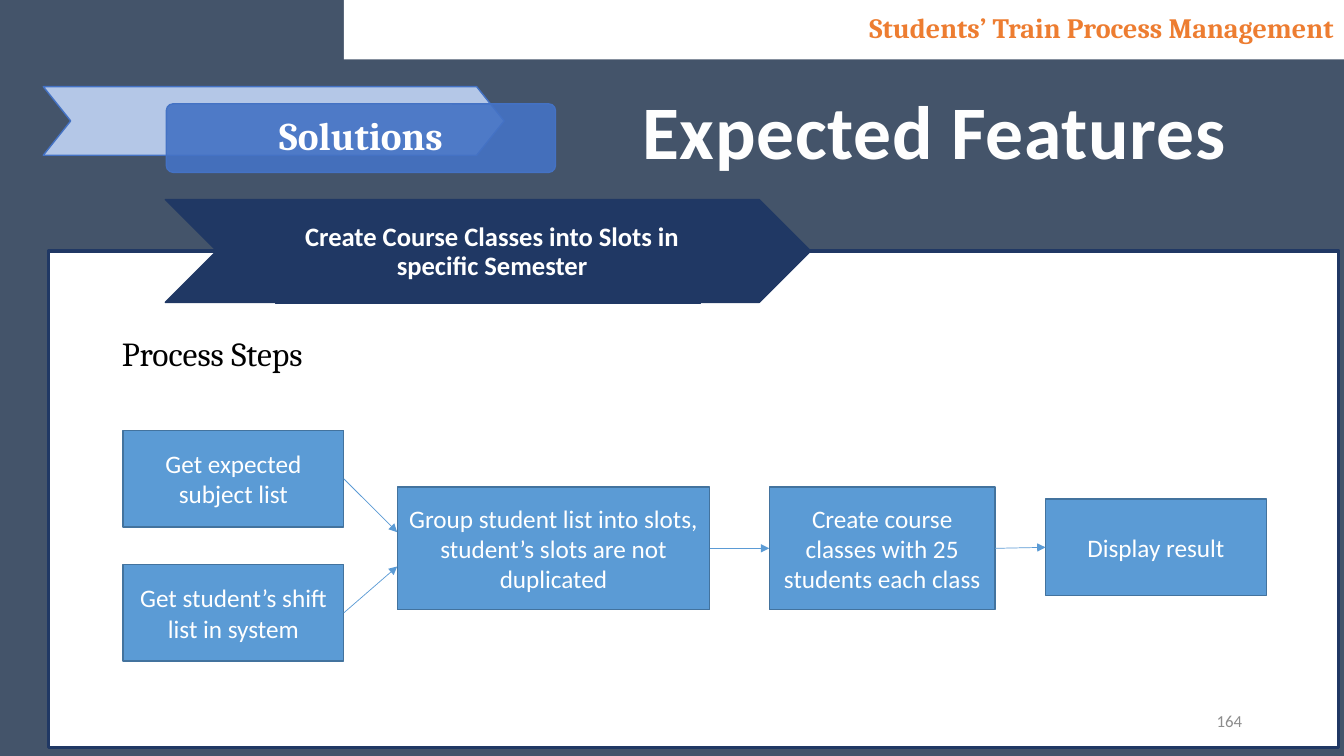
from dataclasses import dataclass
from typing import Optional

from lxml.etree import SubElement
from pptx import Presentation
from pptx.dml.color import RGBColor
from pptx.enum.shapes import MSO_CONNECTOR, MSO_SHAPE
from pptx.enum.text import MSO_ANCHOR, MSO_AUTO_SIZE, PP_ALIGN
from pptx.oxml import parse_xml
from pptx.oxml.ns import nsdecls, qn
from pptx.util import Pt

EMU_PER_PX = 9144  # 100 px to the inch
WHITE, NAVY, ROYAL, SKY, ORANGE = "FFFFFF", "203864", "4472C4", "5B9BD5", "ED7D31"
LEFT, CENTER, RIGHT = PP_ALIGN.LEFT, PP_ALIGN.CENTER, PP_ALIGN.RIGHT
RIGHT_SIDE, LEFT_SIDE = 3, 1


@dataclass
class Box:
    left: int
    top: int
    width: int
    height: int


@dataclass
class TextStyle:
    size: int
    color: str = WHITE
    font: str = "Calibri"
    bold: bool = False
    align: PP_ALIGN = CENTER
    anchor: MSO_ANCHOR = MSO_ANCHOR.MIDDLE
    spacing: float = 1.0
    insets: tuple[int, int, int, int] = (10, 5, 10, 5)
    wrap: bool = True


@dataclass
class Panel:
    box: Box
    fill: str
    line: str
    line_width: float = 1
    kind: MSO_SHAPE = MSO_SHAPE.RECTANGLE
    adjustment: Optional[float] = None


@dataclass
class Arrow:
    source: str
    target: str
    end: Optional[tuple[int, int]] = None  # None joins the target's left side


def px(length: int) -> int:
    return length * EMU_PER_PX


def rgb(value: str) -> RGBColor:
    return RGBColor.from_string(value)


def place(shape, box: Box) -> None:
    shape.left, shape.top = px(box.left), px(box.top)
    shape.width, shape.height = px(box.width), px(box.height)


def write(shape, text: str, style: TextStyle):
    frame = shape.text_frame
    frame.text = text
    frame.word_wrap = style.wrap
    frame.auto_size = MSO_AUTO_SIZE.NONE if style.wrap else MSO_AUTO_SIZE.SHAPE_TO_FIT_TEXT
    frame.vertical_anchor = style.anchor
    frame.margin_left, frame.margin_top, frame.margin_right, frame.margin_bottom = map(px, style.insets)
    paragraph = frame.paragraphs[0]
    paragraph.alignment = style.align
    paragraph.line_spacing = style.spacing
    font = paragraph.runs[0].font
    font.size, font.name, font.bold = Pt(style.size), style.font, style.bold
    font.color.rgb = rgb(style.color)
    return paragraph.runs[0]


def outline_text(run, color: str, width: float) -> None:
    run.font._element.insert(0, parse_xml(
        f'<a:ln {nsdecls("a")} w="{Pt(width)}"><a:solidFill>'
        f'<a:srgbClr val="{color}"/></a:solidFill></a:ln>'))


def shadow_text(run, color: str) -> None:
    run.font._element.find(qn("a:solidFill")).addnext(parse_xml(
        f'<a:effectLst {nsdecls("a")}><a:outerShdw blurRad="12700" dist="38100" dir="2700000" '
        f'algn="tl"><a:srgbClr val="{color}"/></a:outerShdw></a:effectLst>'))


def add_panel(slide, panel: Panel):
    shape = slide.shapes.add_shape(panel.kind, 0, 0, 0, 0)
    place(shape, panel.box)
    shape.shadow.inherit = False
    if panel.adjustment is not None:
        shape.adjustments[0] = panel.adjustment
    shape.fill.solid()
    shape.fill.fore_color.rgb = rgb(panel.fill)
    shape.line.color.rgb = rgb(panel.line)
    shape.line.width = Pt(panel.line_width)
    return shape


def add_label(slide, box: Box, text: str, style: TextStyle):
    shape = slide.shapes.add_textbox(0, 0, 0, 0)
    run = write(shape, text, style)
    place(shape, box)
    return run


def add_arrow(slide, source, target, end: Optional[tuple[int, int]]) -> None:
    end_x, end_y = end or (0, 0)
    arrow = slide.shapes.add_connector(MSO_CONNECTOR.STRAIGHT, 0, 0, px(end_x), px(end_y))
    arrow.begin_connect(source, RIGHT_SIDE)
    if end is None:
        arrow.end_connect(target, LEFT_SIDE)
    arrow.line.color.rgb = rgb(SKY)
    arrow.line.width = Pt(0.5)
    SubElement(arrow.line._get_or_add_ln(), qn("a:tailEnd"), type="triangle")
    SubElement(arrow._element.spPr, qn("a:effectLst"))


STEPS = {
    "subjects": (Box(122, 427, 219, 96), "Get expected subject list"),
    "shifts": (Box(122, 560, 219, 96), "Get student’s shift list in system"),
    "group": (Box(394, 483, 310, 122), "Group student list into slots, student’s slots are not duplicated"),
    "create": (Box(763, 483, 224, 122), "Create course classes with 25 students each class"),
    "display": (Box(1037, 495, 219, 96), "Display result"),
}
ARROWS = [
    Arrow("subjects", "group", (394, 528)),
    Arrow("shifts", "group", (394, 562)),
    Arrow("group", "create"),
    Arrow("create", "display"),
]


def main() -> None:
    presentation = Presentation()
    presentation.slide_width, presentation.slide_height = px(1333), px(750)
    slide = presentation.slides.add_slide(presentation.slide_layouts[5])
    slide.background.fill.solid()
    slide.background.fill.fore_color.rgb = rgb("44546A")

    # Title strip
    title = slide.shapes.title
    place(title, Box(341, 0, 992, 59))
    title.fill.solid()
    title.fill.fore_color.rgb = rgb(WHITE)
    title_run = write(title, "Students’ Train Process Management",
                      TextStyle(20, ORANGE, "Cambria", True, RIGHT, spacing=0.9))
    outline_text(title_run, ORANGE, 0.52)

    # Solutions banner
    add_panel(slide, Panel(Box(43, 86, 457, 68), "B4C7E7", ROYAL, kind=MSO_SHAPE.CHEVRON, adjustment=0.4))
    plate = add_panel(slide, Panel(Box(165, 103, 386, 68), ROYAL, ROYAL,
                                   kind=MSO_SHAPE.ROUNDED_RECTANGLE, adjustment=0.1))
    plate_color = plate._element.spPr.find(qn("a:solidFill")).find(qn("a:srgbClr"))
    SubElement(plate_color, qn("a:alpha"), val="90000")
    add_label(slide, Box(167, 105, 382, 64), "Solutions",
              TextStyle(28, font="Cambria", bold=True, spacing=0.9, insets=(22, 22, 22, 22)))

    # Content panel and its heading
    add_panel(slide, Panel(Box(48, 249, 1280, 493), WHITE, NAVY, 2.25))
    add_panel(slide, Panel(Box(164, 198, 640, 102), NAVY, NAVY, kind=MSO_SHAPE.CHEVRON))
    heading = add_panel(slide, Panel(Box(273, 199, 422, 102), NAVY, NAVY, 0.75))
    write(heading, "Create Course Classes into Slots in specific Semester",
          TextStyle(19, bold=True, spacing=0.9, insets=(12, 4, 4, 4)))

    # Free labels
    features = add_label(slide, Box(624, 78, 605, 101), "Expected Features",
                         TextStyle(54, "FEFEFE", bold=True, anchor=MSO_ANCHOR.TOP, wrap=False))
    features.font._element.set("spc", "50")
    outline_text(features, SKY, 0.75)
    shadow_text(features, SKY)
    add_label(slide, Box(111, 330, 230, 47), "Process Steps",
              TextStyle(24, "000000", "Cambria", align=LEFT, anchor=MSO_ANCHOR.TOP, spacing=0.9))
    add_label(slide, Box(942, 695, 300, 40), "164", TextStyle(12, "8C8C8C", align=RIGHT))

    # Process flow
    steps = {}
    for name, (box, text) in STEPS.items():
        steps[name] = add_panel(slide, Panel(box, SKY, "43739E"))
        write(steps[name], text, TextStyle(18))
    for arrow in ARROWS:
        add_arrow(slide, steps[arrow.source], steps[arrow.target], arrow.end)

    presentation.save("out.pptx")


if __name__ == "__main__":
    main()
